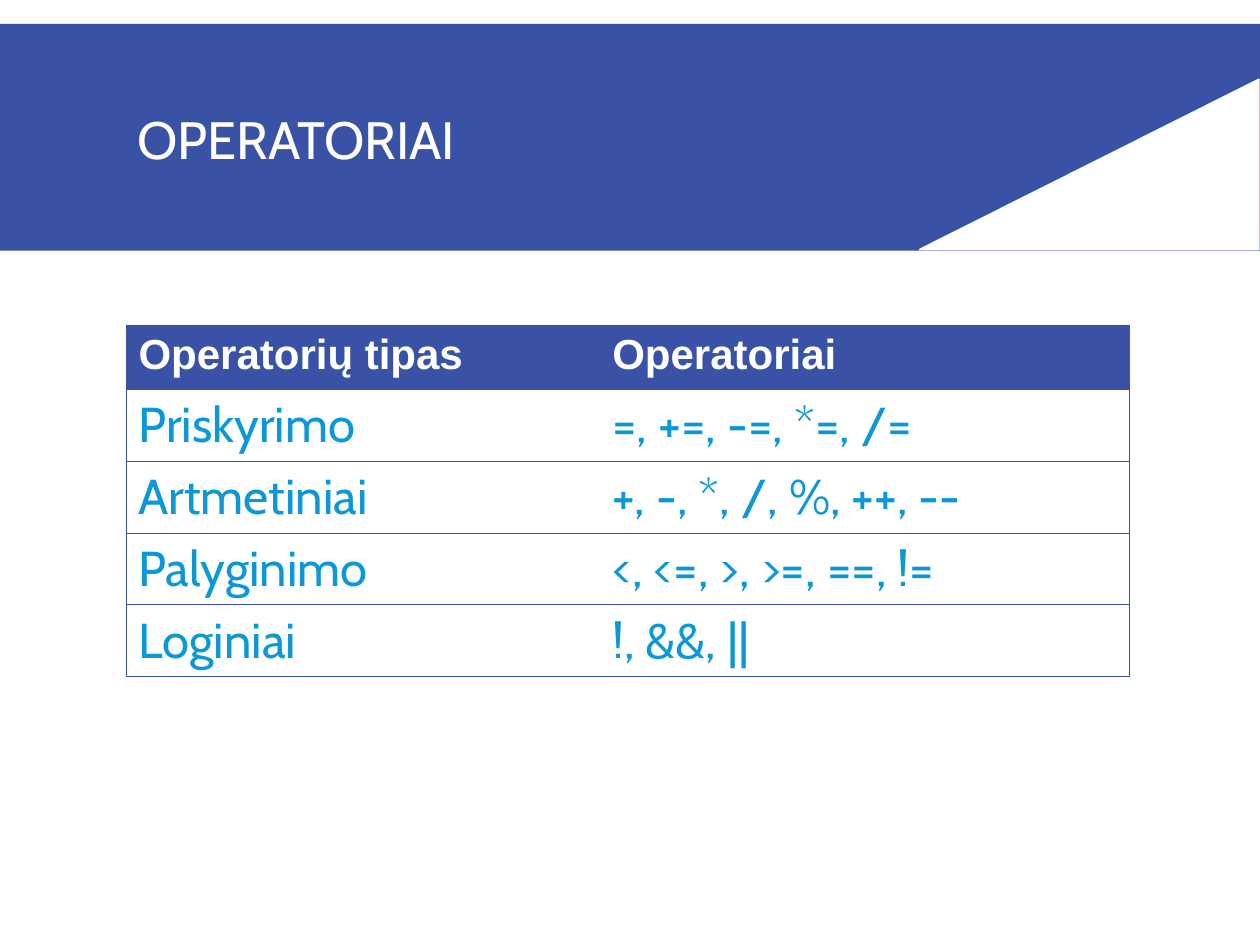
import pptx
import pptx.util
import pptx.dml.color
import pptx.enum.shapes
import pptx.enum.text
import pptx.oxml

HUES = {"blue": "3952A6", "sky": "0C97D7", "white": "FFFFFF"}
COLS, ROWS = 100, 75
ROWS_TEXT = [
    ("Operatorių tipas", "Operatoriai"),
    ("Priskyrimo", "=, +=, -=, *=, /="),
    ("Artmetiniai", "+, -, *, /, %, ++, --"),
    ("Palyginimo", "<, <=, >, >=, ==, !="),
    ("Loginiai", "!, &&, ||"),
]


class Deck:
    def __init__(self):
        self.prs = pptx.Presentation()
        self.prs.slide_width = pptx.util.Inches(10)
        self.prs.slide_height = pptx.util.Inches(7.5)
        self.slide = self.prs.slides.add_slide(self.prs.slide_layouts[6])

    def wide(self, cols):
        return round(self.prs.slide_width * cols / COLS)

    def high(self, rows):
        return round(self.prs.slide_height * rows / ROWS)

    def box(self, x, y, w, h):
        return self.wide(x), self.high(y), self.wide(w), self.high(h)

    def hue(self, name):
        return pptx.dml.color.RGBColor.from_string(HUES[name])

    def shape(self, kind, area, fill, turn=0, line=None):
        item = self.slide.shapes.add_shape(kind, *self.box(*area))
        item.shadow.inherit = False
        item.rotation = turn
        item.fill.solid()
        item.fill.fore_color.rgb = self.hue(fill)
        if line:
            item.line.color.rgb = self.hue(line)
            item.line.width = pptx.util.Pt(1)
        else:
            item.line.fill.background()

    def style(self, para, size, font, hue, bold=False):
        for run in para.runs:
            run.font.size = pptx.util.Pt(size)
            run.font.name = font
            run.font.bold = bold
            run.font.color.rgb = self.hue(hue)

    def title(self, text, area):
        frame = self.slide.shapes.add_textbox(*self.box(*area)).text_frame
        frame.word_wrap = True
        frame.vertical_anchor = pptx.enum.text.MSO_ANCHOR.MIDDLE
        frame.text = text
        frame.paragraphs[0].line_spacing = 0.85
        self.style(frame.paragraphs[0], 30, "Cabin", "white")

    def edge(self, cell, side, drawn):
        fill = f'<a:solidFill><a:srgbClr val="{HUES["blue"]}"/></a:solidFill>' if drawn else "<a:noFill/>"
        space = "http://schemas.openxmlformats.org/drawingml/2006/main"
        line = f'<a:ln{side} xmlns:a="{space}" w="4320">{fill}</a:ln{side}>'
        cell._tc.get_or_add_tcPr().append(pptx.oxml.parse_xml(line))

    def cell(self, cell, text, head, sides):
        for side in "LRTB":
            self.edge(cell, side, side in sides)
        cell.text_frame.text = text
        para = cell.text_frame.paragraphs[0]
        if head:
            cell.fill.solid()
            cell.fill.fore_color.rgb = self.hue("blue")
            self.style(para, 24, "Arial", "white", True)
        else:
            cell.fill.background()
            self.style(para, 28, "Cabin", "sky")

    def table(self, data, area, widths, heights):
        grid = self.slide.shapes.add_table(len(data), len(widths), *self.box(*area)).table
        grid.first_row = grid.horz_banding = False
        for col, width in zip(grid.columns, widths):
            col.width = self.wide(width)
        for row, height in zip(grid.rows, heights):
            row.height = self.high(height)
        for r, texts in enumerate(data):
            for c, text in enumerate(texts):
                self.cell(grid.cell(r, c), text, r == 0, "RTB" if c else "LTB")


def main():
    kinds = pptx.enum.shapes.MSO_SHAPE
    deck = Deck()
    deck.shape(kinds.RECTANGLE, (0, 1.9, COLS, 18), "blue")
    deck.title("OPERATORIAI", (9.9, 3.1, 80.3, 16.5))
    deck.table(ROWS_TEXT, (10, 25.8, 79.6, 27.8), (37.6, 42), [5.1] + [5.7] * 4)
    deck.shape(kinds.RIGHT_TRIANGLE, (79.7, -0.4, 13.5, 26.9), "white", 270, "white")
    deck.prs.save("out.pptx")


if __name__ == "__main__":
    main()
